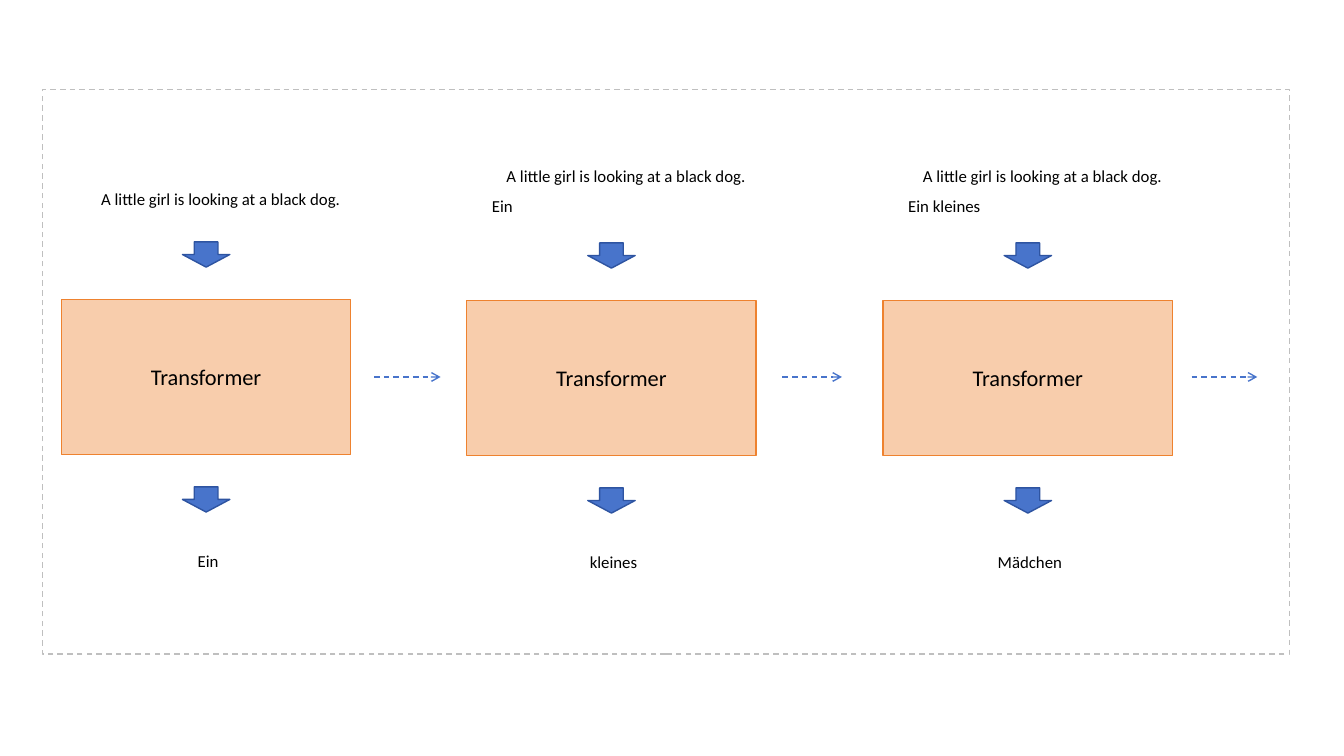
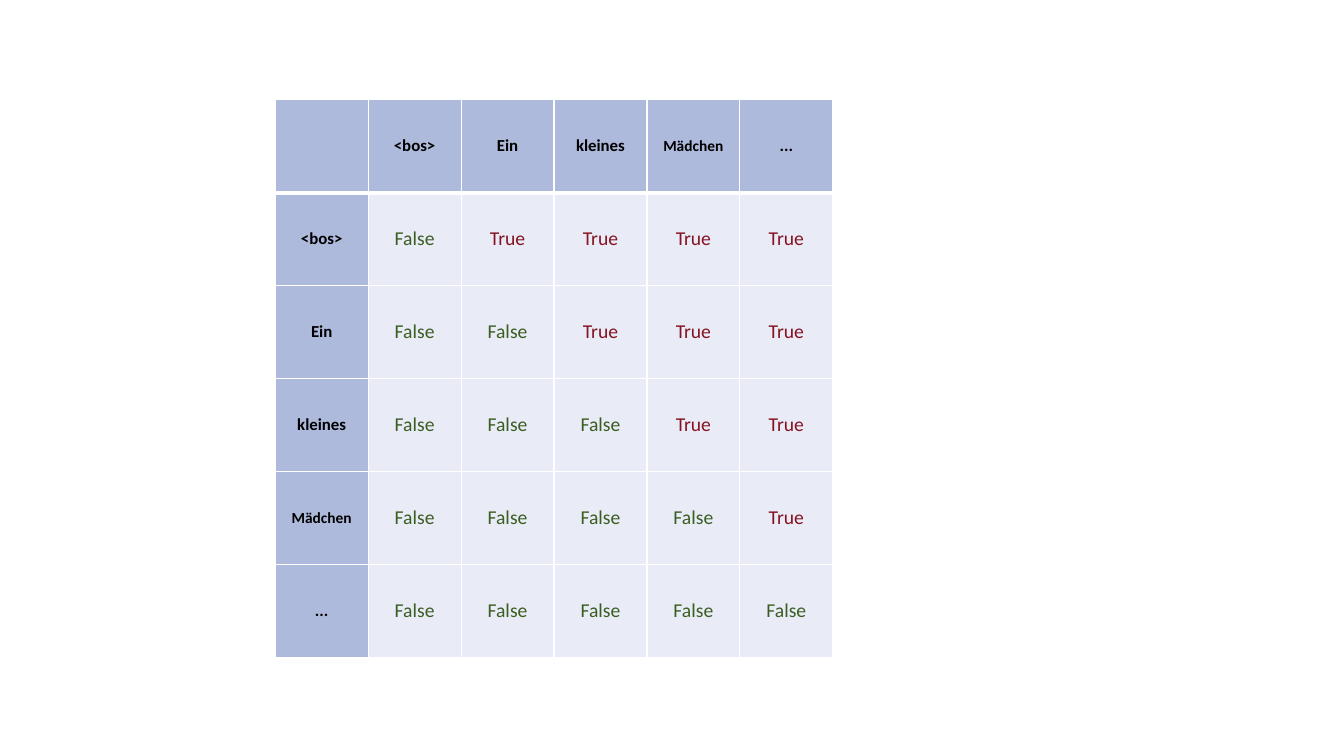
import pptx
import pptx.util
import pptx.dml.color
import pptx.enum.dml
import pptx.enum.shapes
import pptx.enum.text
import pptx.oxml
import pptx.oxml.ns

# Content
SOURCE = "A little girl is looking at a black dog."
WORDS = ["Ein", "kleines", "Mädchen"]
LABELS = ["<bos>", *WORDS, "..."]

# Layout, 100 px to the inch
PX = 9144
SLIDE = (1333, 750)
FRAME = (42, 89, 1237, 560)
STEPS = [(61, 297), (463, 298), (876, 298)]
BOX = (287, 154)
ARROW = (47, 25)
FLOWS = [(371, 437), (776, 835), (1182, 1247)]
FLOW_Y = 374
GRID = (273, 99, 553, 553)


class Theme:
    font = "Calibri"
    ink, white, frame = "000000", "FFFFFF", "BFBFBF"
    box, edge = "F8CDAC", "EE822F"
    blue, navy = "4874CB", "2E54A1"
    head, body = "AEBADC", "E9EBF6"
    mask = {True: "851321", False: "3A5E21"}
    title, text, tight, value = 16, 12, 11, 14
    thin, thick = 1, 3


SHAPE = pptx.enum.shapes.MSO_SHAPE
DASH = pptx.enum.dml.MSO_LINE.DASH
MIDDLE = pptx.enum.text.MSO_ANCHOR.MIDDLE
LEFT = pptx.enum.text.PP_ALIGN.LEFT
CENTER = pptx.enum.text.PP_ALIGN.CENTER


def scale(*nums):
    return [round(n * PX) for n in nums]


def tint(code):
    return pptx.dml.color.RGBColor.from_string(code)


def assign(target, **values):
    for name, value in values.items():
        setattr(target, name, value)


def write(frame, text, size, color=Theme.ink, bold=False, align=CENTER):
    para = frame.paragraphs[0]
    para.alignment = align
    run = para.add_run()
    run.text = text
    assign(run.font, name=Theme.font, size=pptx.util.Pt(size), bold=bold)
    run.font.color.rgb = tint(color)


def stroke(line, color, dash=None):
    line.color.rgb = tint(color)
    assign(line, width=pptx.util.Pt(Theme.thin), dash_style=dash)


def shape(slide, kind, area, fill, edge, dash=None):
    item = slide.shapes.add_shape(kind, *scale(*area))
    item.shadow.inherit = False
    if fill:
        item.fill.solid()
        item.fill.fore_color.rgb = tint(fill)
    else:
        item.fill.background()
    stroke(item.line, edge, dash)
    return item


def label(slide, area, text, align=CENTER):
    frame = slide.shapes.add_textbox(*scale(*area)).text_frame
    frame.word_wrap = True
    write(frame, text, Theme.text, align=align)


def flow(slide, start, end):
    kind = pptx.enum.shapes.MSO_CONNECTOR.STRAIGHT
    link = slide.shapes.add_connector(kind, *scale(start, FLOW_Y, end, FLOW_Y))
    stroke(link.line, Theme.blue, DASH.DASH)
    space = pptx.oxml.ns.nsdecls("a")
    tip = pptx.oxml.parse_xml(f'<a:tailEnd {space} type="arrow"/>')
    link.line._get_or_add_ln().append(tip)
    link._element.spPr.append(pptx.oxml.parse_xml(f"<a:effectLst {space}/>"))


def step(slide, index, left, top):
    box = shape(slide, SHAPE.RECTANGLE, (left, top, *BOX), Theme.box, Theme.edge)
    box.text_frame.vertical_anchor = MIDDLE
    write(box.text_frame, "Transformer", Theme.title)
    for shift in (-57, 186):
        area = (left + 120, top + shift, *ARROW)
        shape(slide, SHAPE.DOWN_ARROW, area, Theme.blue, Theme.navy)
    # Earlier output words join the input
    prior = " ".join(WORDS[:index])
    label(slide, (left - 11, top - (139 if prior else 115), 338, 25), SOURCE)
    if prior:
        label(slide, (left + 15, top - 109, 233, 25), prior, LEFT)
    label(slide, (left + 29, top + 244, 233, 25), WORDS[index])


def border(cell, row):
    widths = dict.fromkeys("LRTB", Theme.thin)
    if row < 2:
        widths["B" if row == 0 else "T"] = Theme.thick
    space = pptx.oxml.ns.nsdecls("a")
    for side, width in widths.items():
        cell._tc.get_or_add_tcPr().append(pptx.oxml.parse_xml(
            f'<a:ln{side} {space} w="{pptx.util.Pt(width)}"><a:solidFill>'
            f'<a:srgbClr val="{Theme.white}"/></a:solidFill></a:ln{side}>'))


def fill_cell(cell, row, col):
    border(cell, row)
    cell.vertical_anchor = MIDDLE
    head = row == 0 or col == 0
    cell.fill.solid()
    cell.fill.fore_color.rgb = tint(Theme.head if head else Theme.body)
    if not head:
        masked = col > row
        write(cell.text_frame, str(masked), Theme.value, Theme.mask[masked])
    elif row or col:
        text = LABELS[max(row, col) - 1]
        size = Theme.tight if text == "Mädchen" else Theme.text
        write(cell.text_frame, text, size, bold=True)


def decoding(slide):
    shape(slide, SHAPE.RECTANGLE, FRAME, None, Theme.frame, DASH.DASH)
    for index, (left, top) in enumerate(STEPS):
        step(slide, index, left, top)
    for start, end in FLOWS:
        flow(slide, start, end)


def masking(slide):
    count = len(LABELS) + 1
    table = slide.shapes.add_table(count, count, *scale(*GRID)).table
    assign(table, first_row=False, horz_banding=False)
    for row in range(count):
        for col in range(count):
            fill_cell(table.cell(row, col), row, col)


def main():
    deck = pptx.Presentation()
    deck.slide_width, deck.slide_height = scale(*SLIDE)
    for build in (decoding, masking):
        build(deck.slides.add_slide(deck.slide_layouts[6]))
    deck.save("out.pptx")


if __name__ == "__main__":
    main()
